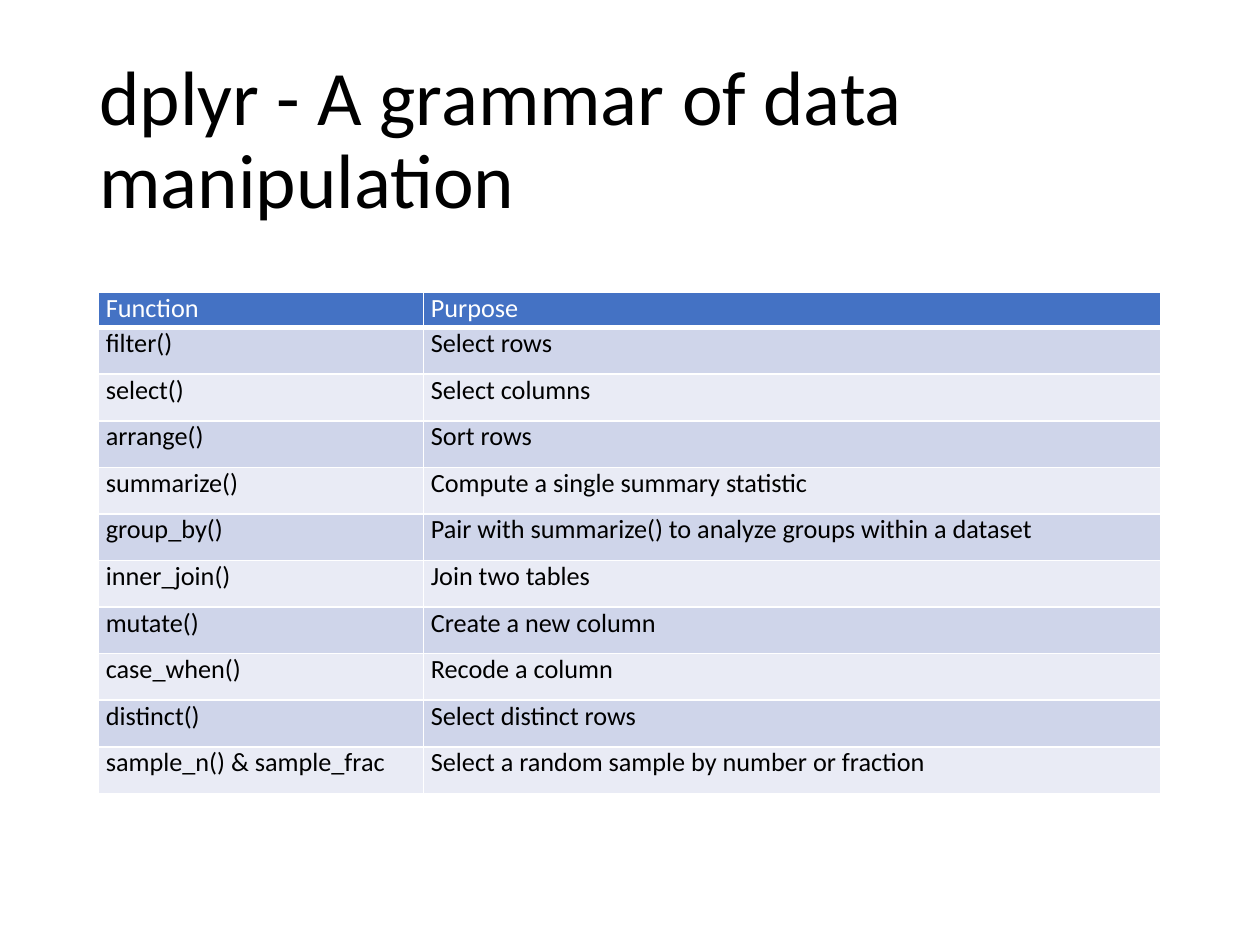
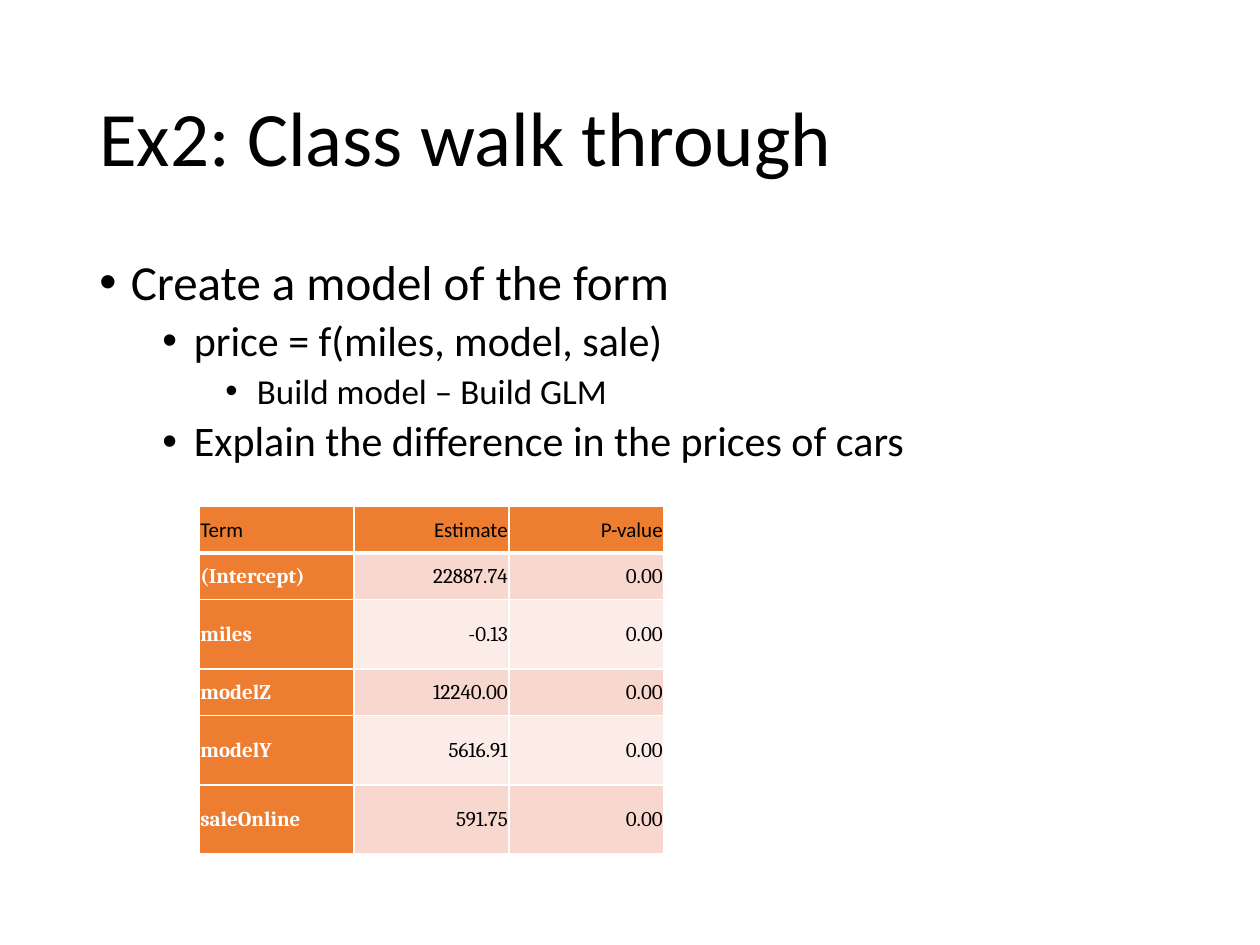
from lxml import etree
from pptx import Presentation
from pptx.dml.color import RGBColor
from pptx.enum import text
from pptx.oxml import ns
from pptx.util import Inches, Pt

BLACK, WHITE = "000000", "FFFFFF"
SANS, SERIF = "Calibri", "Cambria"
BLUE, BLUE_BANDS = "4472C4", ("CFD5EA", "E9EBF5")
ORANGE, ORANGE_BANDS = "ED7D31", ("F8D7CE", "FCECE8")
LEFT, CONTENT_WIDTH = 0.69, 8.62

GRAMMAR_TITLE = "dplyr - A grammar of data manipulation"
VERBS = [
    ("Function", "Purpose"),
    ("filter()", "Select rows"),
    ("select()", "Select columns"),
    ("arrange()", "Sort rows"),
    ("summarize()", "Compute a single summary statistic"),
    ("group_by()", "Pair with summarize() to analyze groups within a dataset"),
    ("inner_join()", "Join two tables"),
    ("mutate()", "Create a new column"),
    ("case_when()", "Recode a column"),
    ("distinct()", "Select distinct rows"),
    ("sample_n() & sample_frac", "Select a random sample by number or fraction"),
]

EXERCISE_TITLE = "Ex2: Class walk through"
STEPS = [
    (0, "Create a model of the form"),
    (1, "price = f(miles, model, sale)"),
    (2, "Build model – Build GLM"),
    (1, "Explain the difference in the prices of cars"),
]
STEP_SIZES = (28, 24, 20)
COEFFICIENTS = [
    ("Term", "Estimate", "P-value"),
    ("(Intercept)", "22887.74", "0.00"),
    ("miles", "-0.13", "0.00"),
    ("modelZ", "12240.00", "0.00"),
    ("modelY", "5616.91", "0.00"),
    ("saleOnline", "591.75", "0.00"),
]


def rgb(value):
    return RGBColor.from_string(value)


def style(paragraph, size, color=BLACK, face=SANS, bold=False):
    font = paragraph.font
    font.size, font.name, font.bold = Pt(size), face, bold
    font.color.rgb = rgb(color)


def add_text_frame(slide, top, height):
    frame = slide.shapes.add_textbox(*map(Inches, (LEFT, top, CONTENT_WIDTH, height))).text_frame
    frame.word_wrap = True
    return frame


def add_titled_slide(deck, title):
    slide = deck.slides.add_slide(deck.slide_layouts[6])
    frame = add_text_frame(slide, 0.4, 1.45)
    frame.vertical_anchor = text.MSO_ANCHOR.MIDDLE
    heading = frame.paragraphs[0]
    heading.text, heading.line_spacing = title, 0.9
    style(heading, 44)
    return slide


def add_steps(slide):
    frame = add_text_frame(slide, 2, 4.76)
    for index, (level, step) in enumerate(STEPS):
        paragraph = frame.add_paragraph() if index else frame.paragraphs[0]
        paragraph.text, paragraph.level, paragraph.line_spacing = step, level, 0.9
        if index:
            paragraph.space_before = Pt(5)
        properties = paragraph._p.get_or_add_pPr()
        properties.set("marL", str(Inches(0.25 + 0.5 * level)))
        properties.set("indent", str(Inches(-0.25)))
        etree.SubElement(properties, ns.qn("a:buFont"), typeface="Arial")
        etree.SubElement(properties, ns.qn("a:buChar"), char="•")
        style(paragraph, STEP_SIZES[level])


def add_borders(cell, row):
    widths = {"lnL": 1, "lnR": 1, "lnT": 3 if row == 1 else 1, "lnB": 3 if row == 0 else 1}
    properties = cell._tc.get_or_add_tcPr()
    for position, (side, width) in enumerate(widths.items()):
        line = etree.Element(ns.qn(f"a:{side}"), w=str(Pt(width)))
        fill = etree.SubElement(line, ns.qn("a:solidFill"))
        etree.SubElement(fill, ns.qn("a:srgbClr"), val=WHITE)
        properties.insert(position, line)


def add_banded_table(slide, corner, rows, widths, heights, accent, bands, margins, dress):
    table = slide.shapes.add_table(
        len(rows), len(widths), *map(Inches, (*corner, sum(widths), sum(heights)))
    ).table
    for column, width in zip(table.columns, widths):
        column.width = Inches(width)
    for r, (values, height) in enumerate(zip(rows, heights)):
        table.rows[r].height = Inches(height)
        for c, value in enumerate(values):
            cell = table.cell(r, c)
            cell.text = value
            cell.margin_left, cell.margin_top, cell.margin_right, cell.margin_bottom = map(Inches, margins)
            cell.fill.solid()
            cell.fill.fore_color.rgb = rgb(bands[(r - 1) % 2] if r else accent)
            add_borders(cell, r)
            dress(cell, r, c)


def dress_verb(cell, row, column):
    style(cell.text_frame.paragraphs[0], 15, BLACK if row else WHITE)


def dress_coefficient(cell, row, column):
    cell.vertical_anchor = text.MSO_ANCHOR.MIDDLE
    paragraph = cell.text_frame.paragraphs[0]
    if column:
        paragraph.alignment = text.PP_ALIGN.RIGHT
    is_term = row > 0 and column == 0
    if is_term:
        cell.fill.fore_color.rgb = rgb(ORANGE)
    style(paragraph, 12, WHITE if is_term else BLACK, SERIF if row else SANS, is_term)


def main():
    deck = Presentation()
    deck.slide_width, deck.slide_height = Inches(10), Inches(7.5)

    grammar = add_titled_slide(deck, GRAMMAR_TITLE)
    verb_heights = [0.28] + [0.37] * (len(VERBS) - 1)
    add_banded_table(grammar, (0.78, 2.32), VERBS, (2.58, 5.85), verb_heights,
                     BLUE, BLUE_BANDS, (0.06, 0, 0.06, 0), dress_verb)

    exercise = add_titled_slide(deck, EXERCISE_TITLE)
    add_steps(exercise)
    add_banded_table(exercise, (1.58, 4.02), COEFFICIENTS, [1.23] * 3,
                     (0.37, 0.37, 0.55, 0.37, 0.55, 0.55),
                     ORANGE, ORANGE_BANDS, (0.01, 0.01, 0.01, 0), dress_coefficient)

    deck.save("out.pptx")


if __name__ == "__main__":
    main()
